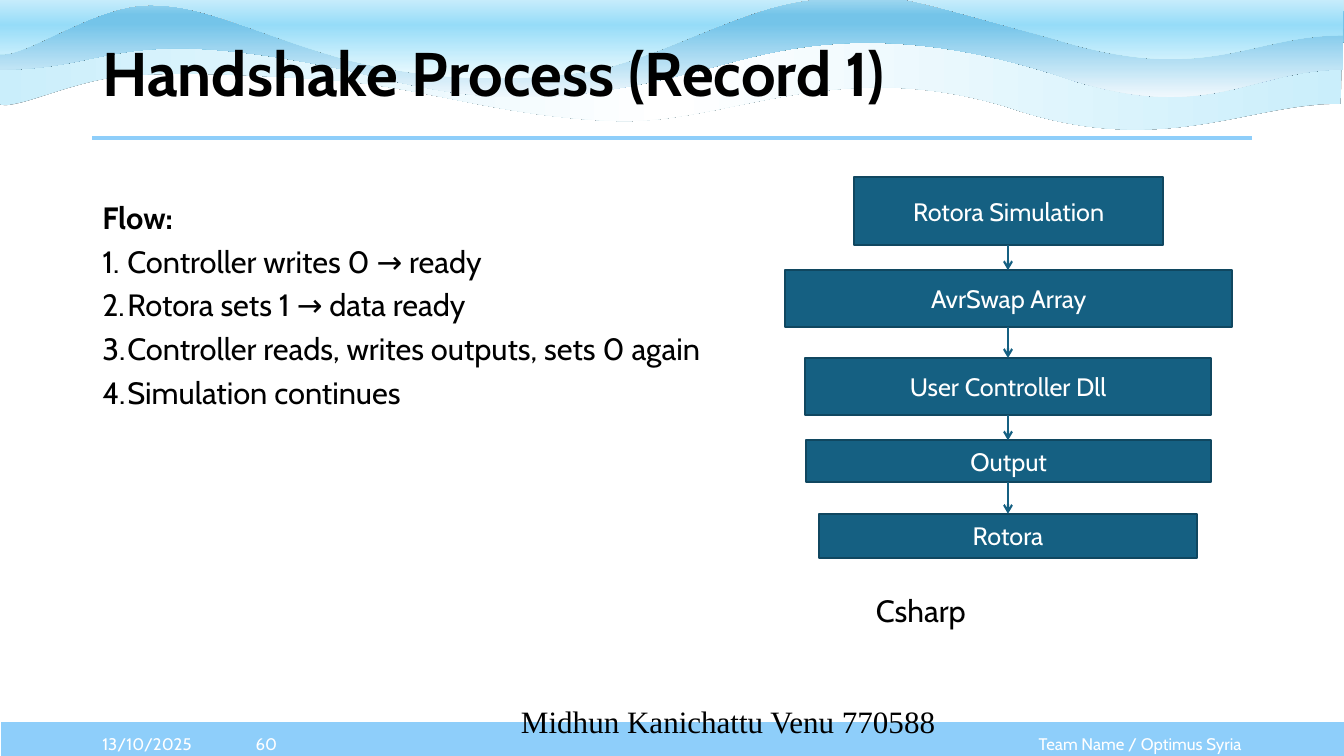
from lxml import etree
from pptx import Presentation
from pptx.dml.color import RGBColor
from pptx.enum.shapes import MSO_CONNECTOR, MSO_SHAPE
from pptx.enum.text import MSO_ANCHOR, PP_ALIGN
from pptx.oxml.ns import qn
from pptx.util import Pt

RECTANGLE, STRAIGHT = MSO_SHAPE.RECTANGLE, MSO_CONNECTOR.STRAIGHT
TOP, MIDDLE = MSO_ANCHOR.TOP, MSO_ANCHOR.MIDDLE
LEFT, CENTER, RIGHT = PP_ALIGN.LEFT, PP_ALIGN.CENTER, PP_ALIGN.RIGHT

# Content
TITLE = "Handshake Process (Record 1)"
FLOW_HEADING = "Flow:"
FLOW_STEPS = [
    "Controller writes 0 → ready",
    "Rotora sets 1 → data ready",
    "Controller reads, writes outputs, sets 0 again",
    "Simulation continues",
]
LANGUAGE = "Csharp"
AUTHOR = "Midhun Kanichattu Venu 770588"
# Footer: text, left, width, alignment
FOOTER = [
    ("13/10/2025", 66, 88, LEFT),
    ("Team Name / Optimus Syria", 667.5, 226.5, RIGHT),
    ("60", 153.5, 73.5, CENTER),
]
# Flow chart: text, left, top, width, height
STAGES = [
    ("Rotora Simulation", 610, 126.3, 221, 49),
    ("AvrSwap Array", 561, 193, 319, 40.5),
    ("User Controller Dll", 575, 255.7, 290, 40.5),
    ("Output", 576, 314.5, 289, 30),
    ("Rotora", 585, 367, 270, 31.5),
]
ARROW_X = 720
# Waves: height, gradient angle, stops, start, Bézier segments, top edge
WAVES = [
    (70.6, 0, [(0, "CAEEFB"), (50, "FFFFFF"), (100, "CAEEFB")], (957.6, 74.2), [
        ((890.6, 73.4), (829.4, 114.5), (719.3, 76.3)),
        ((595.4, 38.9), (519.1, 89.3), (439.2, 86.4)),
        ((359.3, 83.5), (303.1, 62.6), (241.2, 57.6)),
        ((179.3, 53.3), (131.8, 51.1), (91.4, 54)),
        ((51.1, 56.9), (10.1, 79.9), (-1.4, 74.2)),
    ], [(-2.9, 21.6), (225.4, 22.3), (469.4, 24.5), (677.5, 23), (959, 24.5)]),
    (70.6, 270, [(0, "A2D8F0"), (17, "74C4E9"), (26, "74C4E9"), (100, "F0F8FD")], (959, 49.7), [
        ((892.1, 49.7), (861.1, 91.4), (751.7, 52.6)),
        ((627.1, 13.7), (556.6, 35.3), (508.3, 48.2)),
        ((380.2, 82.1), (330.5, 69.8), (249.1, 50.4)),
        ((81.4, 15.1), (82.8, 49.7), (0, 49.7)),
    ], [(0.7, -0.7), (225.4, 0), (470.9, -1.4), (681.1, -0.7), (959.8, 2.2)]),
    (76.3, 270, [(0, "FFFFFF"), (50, "96DCF8"), (100, "EFFCFF")], (959, 25.2), [
        ((892.1, 25.2), (861.1, 61.9), (751.7, 27.4)),
        ((627.8, -6.5), (641.5, -5), (585.4, -0.7)),
        ((529.2, 2.9), (470.2, 44.6), (414.7, 51.8)),
        ((358.6, 59), (305.3, 56.9), (249.8, 43.2)),
        ((185.8, 25.9), (149, 3.6), (108, 3.6)),
        ((66.2, 2.9), (15.8, 43.9), (-2.2, 38.2)),
    ], [(0.7, -19.4), (225.4, -18.7), (470.9, -20.2), (681.1, -19.4), (959.8, -17.3)]),
]

# Formats
SKY, TEAL, EDGE, WHITE, BLACK = "8ECEFA", "156082", "104760", "FFFFFF", "000000"
TITLE_FONT = {"name": "Cabin", "size": Pt(44), "bold": True}
BODY_FONT = {"name": "Cabin", "size": Pt(22), "bold": False}
HEADING_FONT = {**BODY_FONT, "bold": True}
AUTHOR_FONT = {"name": "Times New Roman", "size": Pt(22.2)}
STAGE_FONT = {"name": "Cabin", "size": Pt(18)}
FOOTER_FONT = {"name": "Cabin", "size": Pt(12)}


def paint(color, value):
    color.rgb = RGBColor.from_string(value)


def write(para, text, font, color=BLACK, **layout):
    for name, value in layout.items():
        setattr(para, name, value)
    span = para.add_run()
    span.text = text
    for name, value in font.items():
        setattr(span.font, name, value)
    paint(span.font.color, color)


def add_text(left, top, width, height, anchor=TOP):
    frame = page.shapes.add_textbox(Pt(left), Pt(top), Pt(width), Pt(height)).text_frame
    frame.word_wrap = True
    frame.vertical_anchor = anchor
    return frame


def add_box(left, top, width, height, fill, edge):
    box = page.shapes.add_shape(RECTANGLE, Pt(left), Pt(top), Pt(width), Pt(height))
    box.shadow.inherit = False
    box.fill.solid()
    paint(box.fill.fore_color, fill)
    paint(box.line.color, edge)
    box.line.width = Pt(1.5)
    return box


def add_line(start, end, color, width, arrow=False):
    line = page.shapes.add_connector(STRAIGHT, *map(Pt, start + end))
    paint(line.line.color, color)
    line.line.width = Pt(width)
    if arrow:
        etree.SubElement(line.line._get_or_add_ln(), qn("a:tailEnd"), type="arrow")
    etree.SubElement(line._element.spPr, qn("a:effectLst"))


def add_wave(height, angle, stops, start, segments, edge):
    points = [point for segment in segments for point in segment] + edge
    builder = page.shapes.build_freeform(Pt(start[0]), Pt(start[1]), scale=1.0)
    builder.add_line_segments([(Pt(x), Pt(y)) for x, y in points], close=True)
    wave = builder.convert_to_shape()
    properties = wave._element.spPr

    # Turn each group of three points into one curve
    outline = properties.find(".//" + qn("a:path"))
    corners = outline.findall(qn("a:lnTo"))
    for index in range(0, 3 * len(segments), 3):
        curve = etree.Element(qn("a:cubicBezTo"))
        corners[index].addprevious(curve)
        for corner in corners[index:index + 3]:
            curve.append(corner[0])
            outline.remove(corner)
    wave.height = Pt(height)
    outline.set("h", str(Pt(height)))

    # Gradient and hairline shadow
    wave.line.fill.background()
    wave.fill.gradient()
    wave.fill.gradient_angle = angle
    stop_list = properties.find(".//" + qn("a:gsLst"))
    stop_list[:] = []
    for position, color in stops:
        stop = etree.SubElement(stop_list, qn("a:gs"), pos=str(position * 1000))
        etree.SubElement(stop, qn("a:srgbClr"), val=color)
    wave.shadow.inherit = False
    effects = properties.find(qn("a:effectLst"))
    shadow = etree.SubElement(effects, qn("a:outerShdw"), blurRad="0", dist="0", dir="0")
    etree.SubElement(shadow, qn("a:srgbClr"), val=BLACK)


deck = Presentation()
deck.slide_width, deck.slide_height = Pt(960), Pt(540)
page = deck.slides.add_slide(deck.slide_layouts[6])

# Footer band, waves and title rule
add_box(0, 515, 961, 29, SKY, WHITE)
for wave_data in WAVES:
    add_wave(*wave_data)
add_line((66, 98.5), (894, 98.5), SKY, 3)

# Title
write(add_text(66, 27.5, 828, 104.5).paragraphs[0], TITLE, TITLE_FONT, line_spacing=0.9)

# Flow list
body = add_text(66, 143.7, 828, 343)
write(body.paragraphs[0], FLOW_HEADING, HEADING_FONT, line_spacing=0.8)
for step_text in FLOW_STEPS:
    item = body.add_paragraph()
    properties = item._p.get_or_add_pPr()
    properties.set("marL", str(Pt(18)))
    properties.set("indent", str(-Pt(18)))
    etree.SubElement(properties, qn("a:buFont"), typeface="+mj-lt")
    etree.SubElement(properties, qn("a:buAutoNum"), type="arabicPeriod")
    write(item, step_text, BODY_FONT, line_spacing=0.8, space_before=Pt(10))
write(add_text(618.5, 424, 100, 30).paragraphs[0], LANGUAGE, BODY_FONT, line_spacing=0.8)

# Footer text
for text, left, width, alignment in FOOTER:
    write(add_text(left, 517, width, 29, MIDDLE).paragraphs[0], text, FOOTER_FONT, WHITE,
          alignment=alignment)
write(add_text(300, 503.3, 440.5, 29).paragraphs[0], AUTHOR, AUTHOR_FONT,
      line_spacing=0.8, alignment=CENTER)

# Flow chart
for text, *place in STAGES:
    frame = add_box(*place, TEAL, EDGE).text_frame
    frame.word_wrap = True
    frame.vertical_anchor = MIDDLE
    write(frame.paragraphs[0], text, STAGE_FONT, WHITE, alignment=CENTER)
for upper, lower in zip(STAGES, STAGES[1:]):
    add_line((ARROW_X, upper[2] + upper[4]), (ARROW_X, lower[2]), TEAL, 1.5, arrow=True)

deck.save("out.pptx")
